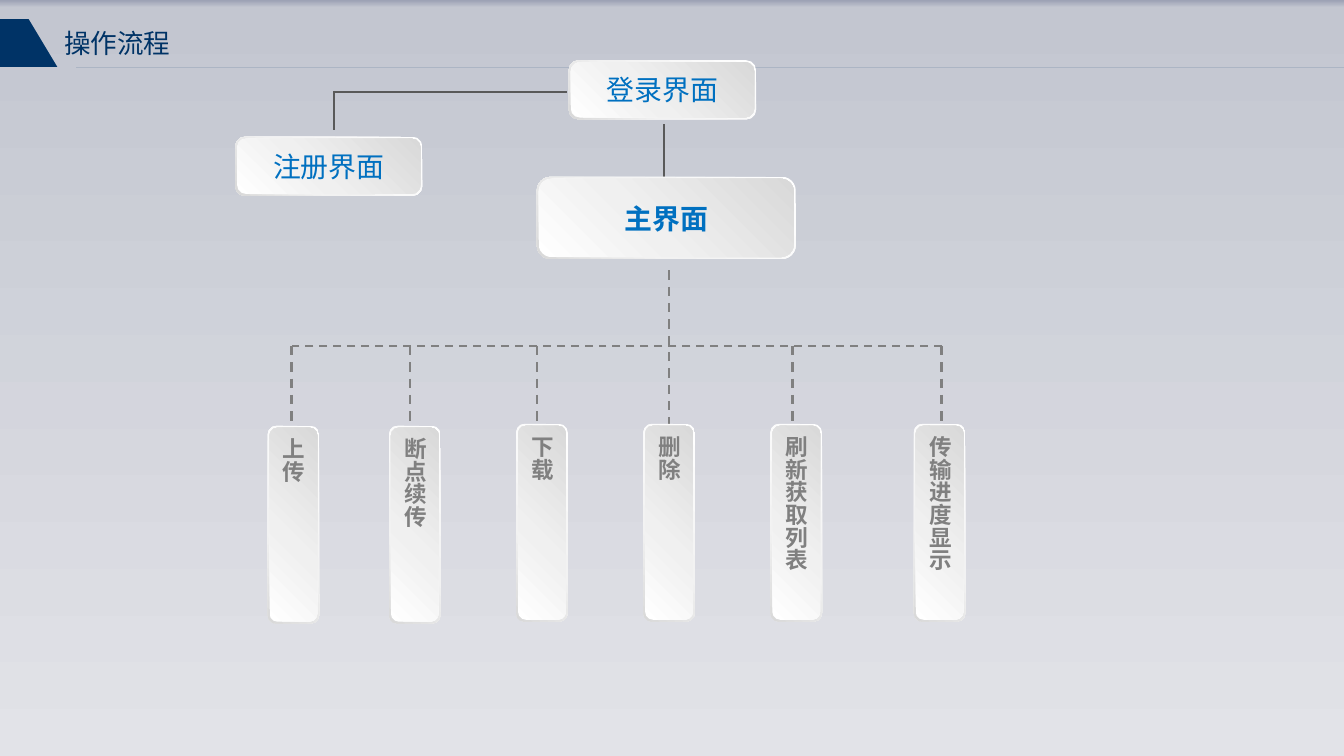
from pptx import Presentation, util as u
from pptx.dml.color import RGBColor
from pptx.enum import dml, shapes, text
from pptx.oxml.ns import qn
from pptx.oxml.xmlchemy import OxmlElement

theme = {
    "navy": "003366", "blue": "0070C0", "gray": "808080", "dark": "595959",
    "sky": [(0, "9BA0B4"), (1, "C3C6D0"), (100, "E2E3E8")],
    "rim": [(0, "FFFFFF"), (62, "F2F2F2"), (100, "D9D9D9")],
    "face": [(0, "FFFFFF"), (42, "F0F0F0"), (100, "D9D9D9")],
    "latin": "Arial", "cjk": "Noto Sans CJK SC",
    "heading": 20, "screen": 21, "feature": 17,
}
cell = u.Inches(0.1)


def write(owner, words, font, size, color, bold=False, align=text.PP_ALIGN.CENTER,
          anchor=text.MSO_ANCHOR.MIDDLE, vertical=False):
    frame = owner.text_frame
    frame.word_wrap = True
    frame.vertical_anchor = anchor
    frame.margin_left = frame.margin_right = frame.margin_top = frame.margin_bottom = 0
    if vertical:
        frame.margin_top = u.Inches(0.08)
        frame._txBody.bodyPr.set("vert", "eaVert")
    paragraph = frame.paragraphs[0]
    paragraph.alignment = align
    run = paragraph.add_run()
    run.text = words
    run.font.name, run.font.size, run.font.bold = font, u.Pt(size), bold
    run.font.color.rgb = RGBColor.from_string(color)
    east_asian = OxmlElement("a:ea")
    east_asian.set("typeface", font)
    run.font._element.find(qn("a:latin")).addnext(east_asian)


def shade(fill, element, stops, angle):
    fill.gradient()
    fill.gradient_angle = angle
    stop_list = next(element.iter(qn("a:gsLst")))
    for old in list(stop_list):
        stop_list.remove(old)
    for share, color in stops:
        stop = OxmlElement("a:gs")
        stop.set("pos", str(share * 1000))
        tint = OxmlElement("a:srgbClr")
        tint.set("val", color)
        stop.append(tint)
        stop_list.append(stop)


deck = Presentation()
deck.slide_width, deck.slide_height = u.Inches(14.06), u.Inches(7.91)
slide = deck.slides.add_slide(deck.slide_layouts[6])
shade(slide.background.fill, slide._element, theme["sky"], 270)

header_bands = [
    [(8, 7.1), (140.6, 7.1), (140.6, 7.4), (8.2, 7.4)],
    [(3.1, 1.5), (6.3, 7.4), (0, 7.4), (0, 1.5)],
]
for corners in header_bands:
    outline = slide.shapes.build_freeform(*corners[0], scale=cell)
    outline.add_line_segments(corners[1:], close=True)
    band = outline.convert_to_shape()
    band.shadow.inherit = False
    band.fill.solid()
    band.fill.fore_color.rgb = RGBColor.from_string(theme["navy"])
    band.line.fill.background()

heading = slide.shapes.add_textbox(*(int(n * cell) for n in (6.7, 2.8, 33.5, 3.4)))
write(heading, "操作流程", theme["latin"], theme["heading"], theme["navy"],
      align=text.PP_ALIGN.LEFT, anchor=text.MSO_ANCHOR.TOP)

screens = [
    ("注册界面", 34.4, 17.4, 19.6, 6.2, False),
    ("登录界面", 69.3, 9.4, 19.6, 6.2, False),
    ("主界面", 69.7, 22.8, 27.1, 8.6, True),
]
features = [
    ("上传", 30.7, 54.9, 30.5),
    ("断点续传", 43.4, 54.9, 42.9),
    ("下载", 56.7, 54.7, 56.2),
    ("删除", 70, 54.7, 70),
    ("刷新获取列表", 83.3, 54.7, 82.9),
    ("传输进度显示", 98.3, 54.7, 98.5),
]

branch_row = 36.2
login_links = [(69.5, 13, 69.5, 23.9), (34.9, 9.5, 34.9, 13.6), (59.3, 9.6, 34.9, 9.6)]
branches = [(stem, 28.3 if label == "删除" else branch_row, stem, 44.5)
            for label, _, _, stem in features]
trunk = [(features[-1][3], branch_row, features[0][3], branch_row)]
for links, color, weight, dashed in (
    (login_links, theme["dark"], 1.5, False),
    (branches, theme["gray"], 1.75, True),
    (trunk, theme["gray"], 1.5, True),
):
    for ends in links:
        link = slide.shapes.add_connector(shapes.MSO_CONNECTOR.STRAIGHT,
                                          *(int(n * cell) for n in ends))
        link.line.color.rgb = RGBColor.from_string(color)
        link.line.width = u.Pt(weight)
        if dashed:
            link.line.dash_style = dml.MSO_LINE.DASH
        link._element.spPr.append(OxmlElement("a:effectLst"))

cards = [(label, x, y, width, height, dict(size=theme["screen"], color=theme["blue"], bold=bold))
         for label, x, y, width, height, bold in screens]
cards += [(label, x, y, 5.4, 20.7, dict(size=theme["feature"], color=theme["gray"], bold=True,
                                        align=text.PP_ALIGN.LEFT, vertical=True))
          for label, x, y, _ in features]
for label, x, y, width, height, style in cards:
    for stops, angle, trim in ((theme["rim"], 225, 0), (theme["face"], 45, 0.4)):
        w, h = width - trim, height - trim
        card = slide.shapes.add_shape(shapes.MSO_SHAPE.ROUNDED_RECTANGLE,
                                      *(int(n * cell) for n in (x - w / 2, y - h / 2, w, h)))
        card.shadow.inherit = False
        card.line.fill.background()
        shade(card.fill, card._element, stops, angle)
    write(card, label, theme["cjk"], **style)

deck.save("out.pptx")
